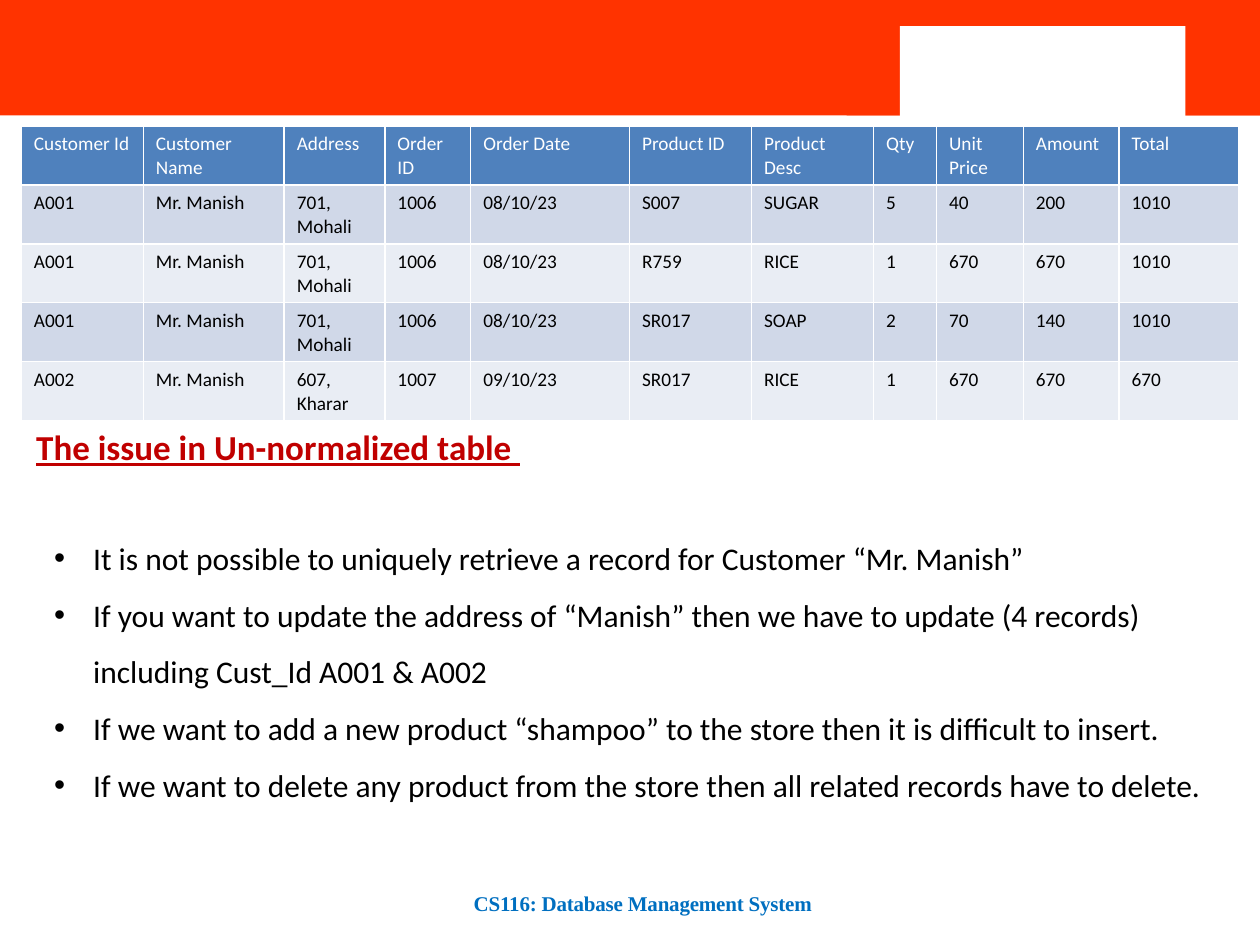
from dataclasses import dataclass

from lxml.etree import SubElement
from pptx import Presentation
from pptx.dml.color import RGBColor
from pptx.enum.shapes import MSO_SHAPE
from pptx.enum.text import MSO_AUTO_SIZE
from pptx.oxml.ns import qn
from pptx.util import Cm, Pt


@dataclass(frozen=True)
class Theme:
    banner: str = "FF3300"
    paper: str = "FFFFFF"
    ink: str = "000000"
    header: str = "4F81BD"
    bands: tuple = ("D0D8E8", "E9EDF4")
    heading: str = "C00000"
    footer: str = "006FC0"
    body_font: str = "Calibri"
    footer_font: str = "Times New Roman"
    table_size: int = 11
    footer_size: int = 12
    body_size: int = 18
    heading_size: int = 20


ORDER_COLUMNS = {
    "Customer Id": 2.46, "Customer Name": 2.84, "Address": 2.03, "Order ID": 1.73,
    "Order Date": 3.2, "Product ID": 2.46, "Product Desc": 2.46, "Qty": 1.27,
    "Unit Price": 1.75, "Amount": 1.93, "Total": 2.41,
}
ORDERS = [
    ("A001", "Mr. Manish", "701, Mohali", "1006", "08/10/23", "S007", "SUGAR", "5", "40", "200", "1010"),
    ("A001", "Mr. Manish", "701, Mohali", "1006", "08/10/23", "R759", "RICE", "1", "670", "670", "1010"),
    ("A001", "Mr. Manish", "701, Mohali", "1006", "08/10/23", "SR017", "SOAP", "2", "70", "140", "1010"),
    ("A002", "Mr. Manish", "607, Kharar", "1007", "09/10/23", "SR017", "RICE", "1", "670", "670", "670"),
]
ISSUES = [
    "It is not possible to uniquely retrieve a record for Customer “Mr. Manish”",
    "If you want to update the address of “Manish” then we have to update (4 records) "
    "including Cust_Id A001 & A002",
    "If we want to add a new product “shampoo” to the store then it is difficult to insert.",
    "If we want to delete any product from the store then all related records have to delete.",
]


def write(paragraph, text, *, font, size, color, bold=False, underline=False,
          line_spacing=None, bullet=None, indent=0, tracking=None):
    if bullet:
        properties = paragraph._p.get_or_add_pPr()
        properties.set("marL", str(Cm(indent)))
        properties.set("indent", str(-Cm(indent)))
        SubElement(properties, qn("a:buFont")).set("typeface", "Arial")
        SubElement(properties, qn("a:buChar")).set("char", bullet)
    if line_spacing:
        paragraph.line_spacing = line_spacing
    span = paragraph.add_run()
    span.text = text
    span.font.name = font
    span.font.size = Pt(size)
    span.font.bold = bold
    span.font.underline = underline
    span.font.color.rgb = RGBColor.from_string(color)
    if tracking:
        span._r.get_or_add_rPr().set("spc", str(round(tracking * 100)))


class PageBuilder:
    def __init__(self, page, theme):
        self.page = page
        self.theme = theme

    def block(self, left, top, width, height, color):
        shape = self.page.shapes.add_shape(
            MSO_SHAPE.RECTANGLE, Cm(left), Cm(top), Cm(width), Cm(height))
        shape.shadow.inherit = False
        shape.fill.solid()
        shape.fill.fore_color.rgb = RGBColor.from_string(color)
        shape.line.fill.background()

    def text(self, left, top, width, height, lines, *, wrap=True, inset=None, **style):
        box = self.page.shapes.add_textbox(Cm(left), Cm(top), Cm(width), Cm(height))
        frame = box.text_frame
        frame.word_wrap = wrap
        frame.auto_size = MSO_AUTO_SIZE.SHAPE_TO_FIT_TEXT
        if inset is not None:
            frame.margin_left = frame.margin_right = Cm(inset)
            frame.margin_top = frame.margin_bottom = Cm(inset)
        for index, line in enumerate(lines):
            paragraph = frame.add_paragraph() if index else frame.paragraphs[0]
            write(paragraph, line, **style)

    def table(self, left, top, row_height, columns, records):
        theme = self.theme
        rows = [tuple(columns), *records]
        table = self.page.shapes.add_table(
            len(rows), len(columns), Cm(left), Cm(top),
            Cm(sum(columns.values())), Cm(row_height * len(rows))).table
        for column, width in zip(table.columns, columns.values()):
            column.width = Cm(width)
        for index, values in enumerate(rows):
            fill = theme.bands[(index - 1) % 2] if index else theme.header
            color = theme.ink if index else theme.paper
            for cell, value in zip(table.rows[index].cells, values):
                cell.fill.solid()
                cell.fill.fore_color.rgb = RGBColor.from_string(fill)
                write(cell.text_frame.paragraphs[0], value, font=theme.body_font,
                      size=theme.table_size, color=color)


def main():
    deck = Presentation()
    deck.slide_width, deck.slide_height = Cm(25.4), Cm(19.05)
    theme = Theme()
    builder = PageBuilder(deck.slides.add_slide(deck.slide_layouts[6]), theme)

    builder.block(0, 0, 25.4, 2.33, theme.banner)
    builder.block(17.07, 0, 8.33, 2.33, theme.banner)
    builder.block(18.14, 0.53, 5.76, 1.9, theme.paper)
    builder.text(9.55, 17.96, 7.82, 0.41, ["CS116: Database Management System"], inset=0,
                 font=theme.footer_font, size=theme.footer_size, color=theme.footer,
                 bold=True, line_spacing=Pt(14.1), tracking=-0.1)
    builder.table(0.43, 2.54, 1.04, ORDER_COLUMNS, ORDERS)
    builder.text(0.48, 8.46, 10.34, 1.12, ["The issue in Un-normalized table "], wrap=False,
                 font=theme.body_font, size=theme.heading_size, color=theme.heading,
                 bold=True, underline=True)
    builder.text(0.84, 10.36, 23.7, 7.19, ISSUES, font=theme.body_font,
                 size=theme.body_size, color=theme.ink, line_spacing=1.5,
                 bullet="•", indent=0.79)
    deck.save("out.pptx")


if __name__ == "__main__":
    main()
